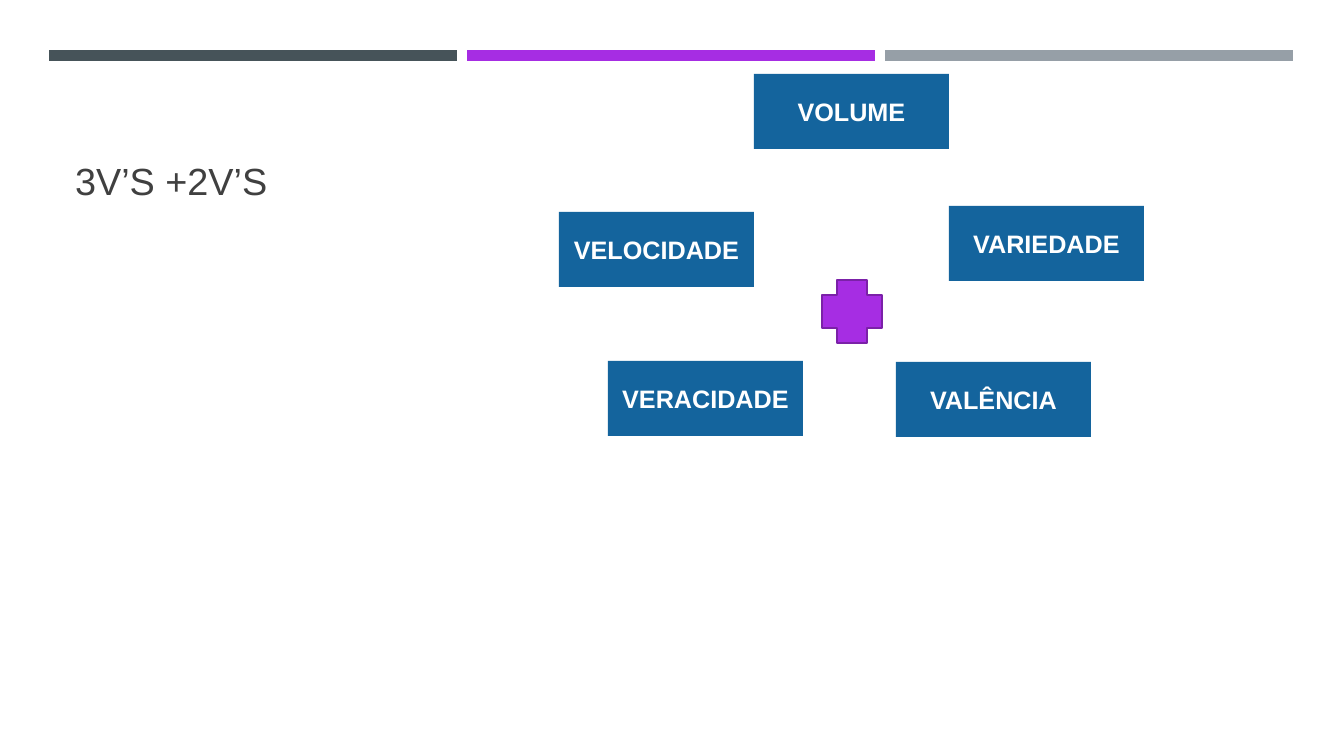
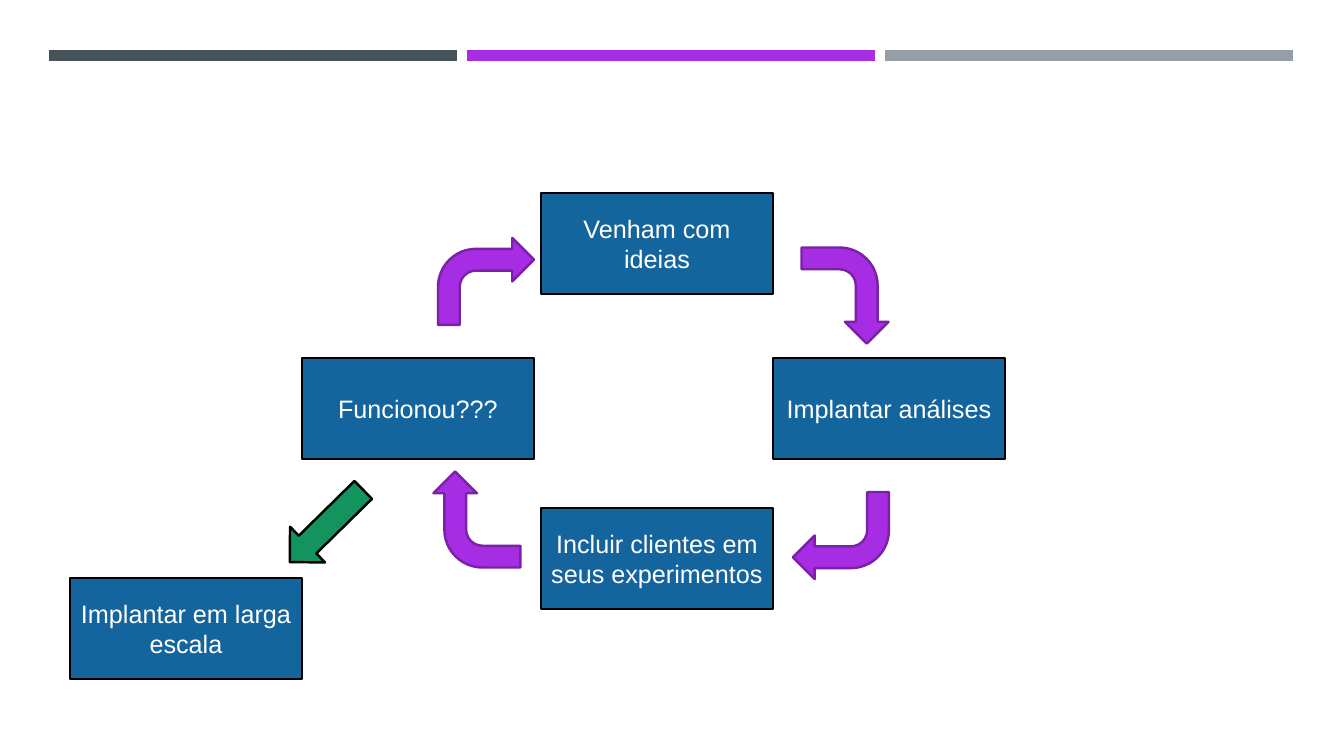
from collections import namedtuple

from pptx import Presentation
from pptx.dml.color import RGBColor
from pptx.enum.shapes import MSO_SHAPE
from pptx.enum.text import MSO_ANCHOR, MSO_AUTO_SIZE, PP_ALIGN
from pptx.util import Emu, Pt

PAGE_WIDTH, PAGE_HEIGHT = 1344, 756
EMU_PER_PX = 12192000 / PAGE_WIDTH
FONT = "Arial"
COLORS = {
    "slate": "465359",
    "purple": "A62DE3",
    "gray": "969FA7",
    "title": "404040",
    "blue": "14649D",
    "green": "13945E",
    "dark_purple": "7B21A8",
    "black": "000000",
    "white": "FFFFFF",
}
Box = namedtuple("Box", "left top width height")


def px(length):
    return Emu(round(length * EMU_PER_PX))


def color(name):
    return RGBColor.from_string(COLORS[name])


def within(region, left, top, width, height):
    return Box(region.left + left, region.top + top, width, height)


def place(shape, box):
    shape.left, shape.top, shape.width, shape.height = map(px, box)


def style_text(paragraph, size, color_name, bold=False):
    for span in paragraph.runs:
        span.font.name = FONT
        span.font.size = Pt(size)
        span.font.bold = bold
        span.font.color.rgb = color(color_name)


def add_figure(page, kind, box, fill, line=None, rotation=0):
    shape = page.shapes.add_shape(kind, *map(px, box))
    shape.shadow.inherit = False
    shape.rotation = rotation
    shape.fill.solid()
    shape.fill.fore_color.rgb = color(fill)
    if line:
        shape.line.color.rgb = color(line)
        shape.line.width = Pt(1.75)
    else:
        shape.line.fill.background()
    return shape


def add_card(page, box, text, line=None, bold=False):
    card = add_figure(page, MSO_SHAPE.RECTANGLE, box, "blue", line)
    frame = card.text_frame
    frame.word_wrap = True
    frame.vertical_anchor = MSO_ANCHOR.MIDDLE
    frame.margin_left = frame.margin_right = px(9)
    frame.text = text
    para = frame.paragraphs[0]
    para.alignment = PP_ALIGN.CENTER
    style_text(para, 18, "white", bold)


def add_master_bands(deck, page, region):
    gap = 10
    names = ("slate", "purple", "gray")
    width = (region.width - gap * (len(names) - 1)) // len(names)
    for index, name in enumerate(names):
        box = within(region, index * (width + gap), 0, width, region.height)
        band = add_figure(page, MSO_SHAPE.RECTANGLE, box, name)
        band.name = f"Band {index + 1}"
        band.element.nvSpPr.cNvPr.id = 101 + index
        deck.slide_master.shapes.element.append(band.element)


def add_title(page, box, text):
    title = page.shapes.title
    place(title, box)
    frame = title.text_frame
    frame.auto_size = MSO_AUTO_SIZE.NONE
    frame.vertical_anchor = MSO_ANCHOR.BOTTOM
    frame.text = text
    para = frame.paragraphs[0]
    para.alignment = PP_ALIGN.LEFT
    para.line_spacing = 0.9
    style_text(para, 27, "title")


def add_five_vs(page, region):
    cards = (
        ("VOLUME", 195, 0),
        ("VELOCIDADE", 0, 138),
        ("VARIEDADE", 390, 132),
        ("VERACIDADE", 49, 287),
        ("VALÊNCIA", 337, 288),
    )
    for text, left, top in cards:
        add_card(page, within(region, left, top, 195, 75), text, bold=True)
    add_figure(page, MSO_SHAPE.CROSS, within(region, 263, 206, 60, 63), "purple", "dark_purple")


def add_experiment_cycle(page, region):
    cards = (
        ("Venham com ideias", 471, 0),
        ("Implantar análises", 703, 165),
        ("Incluir clientes em seus experimentos", 471, 315),
        ("Funcionou???", 232, 165),
        ("Implantar em larga escala", 0, 385),
    )
    for text, left, top in cards:
        add_card(page, within(region, left, top, 232, 101), text, "black")
    turns = ((368, 45, 0), (727, 59, 90), (723, 299, 180), (359, 283, 270))
    for left, top, rotation in turns:
        box = within(region, left, top, 96, 87)
        add_figure(page, MSO_SHAPE.BENT_ARROW, box, "purple", "dark_purple", rotation)
    add_figure(page, MSO_SHAPE.RIGHT_ARROW, within(region, 205, 308, 103, 50), "green", "black", 135.5)


def main():
    deck = Presentation()
    deck.slide_width, deck.slide_height = px(PAGE_WIDTH), px(PAGE_HEIGHT)

    vs_page = deck.slides.add_slide(deck.slide_layouts.get_by_name("Title Only"))
    add_master_bands(deck, vs_page, Box(49, 50, 1246, 11))
    add_title(vs_page, Box(65, 78, 1216, 131), "3V’S +2V’S")
    add_five_vs(vs_page, Box(559, 74, 585, 363))

    cycle_page = deck.slides.add_slide(deck.slide_layouts.get_by_name("Blank"))
    add_experiment_cycle(cycle_page, Box(70, 193, 935, 486))

    deck.save("out.pptx")


if __name__ == "__main__":
    main()
